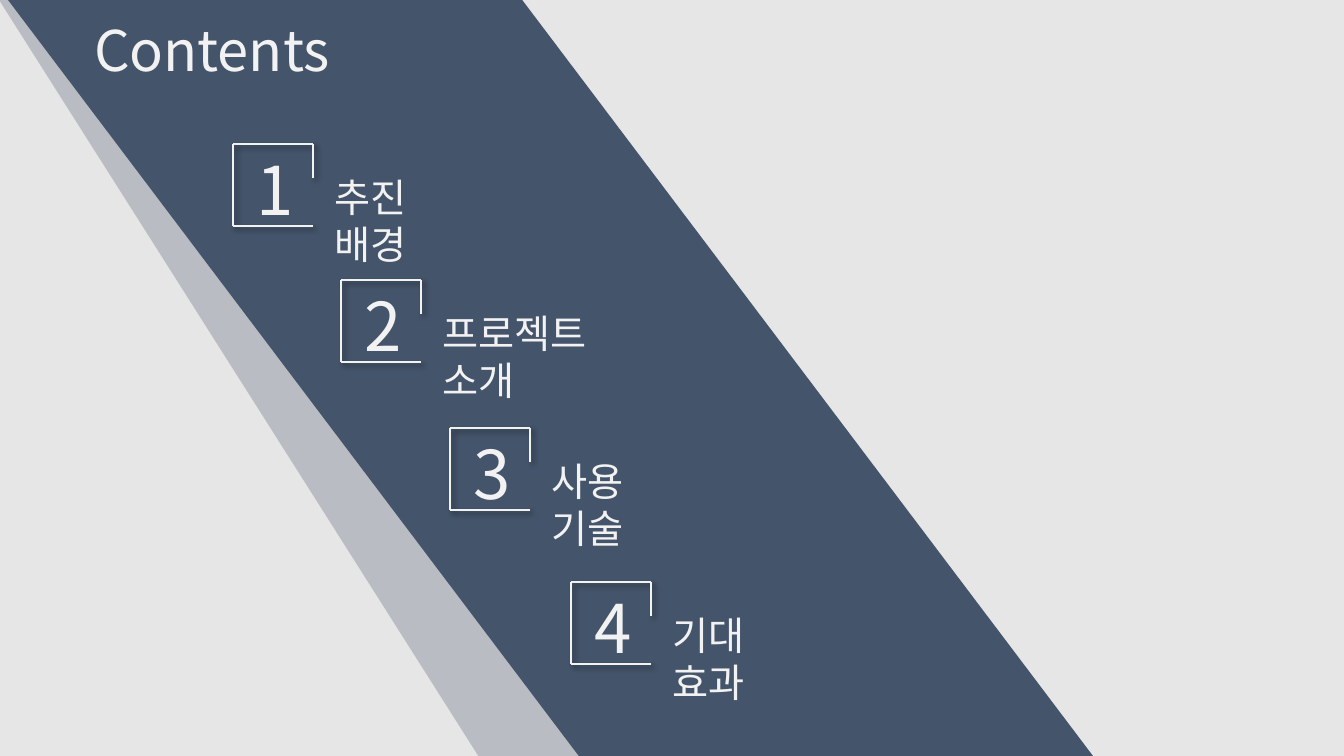
from lxml.etree import SubElement
from pptx import Presentation
from pptx.dml.color import RGBColor
from pptx.enum.shapes import MSO_CONNECTOR, MSO_SHAPE
from pptx.enum.text import MSO_ANCHOR, MSO_AUTO_SIZE, PP_ALIGN
from pptx.oxml.ns import qn
from pptx.util import Pt

PX = 914400 / 100.8
WIDTH, HEIGHT = 1344, 756
FONT = "Noto Sans CJK KR"
COLORS = {"bg": "E7E6E6", "band": "44546A", "light": "F2F2F2", "shadow": "000000"}

TITLE = "Contents"
BANDS = [
    (-1, 919, 0.634, 28),
    (8, 1085, 0.755, 100),
]
ITEMS = [
    ("추진 배경", 233, 144, 166),
    ("프로젝트 소개", 341, 280, 235),
    ("사용 기술", 450, 428, 166),
    ("기대 효과", 571, 582, 166),
]
FRAME_W, FRAME_H, TICK = 80, 82, 34
FRAME_LINES = [
    (0, 0, FRAME_W, 0),
    (0, 0, 0, FRAME_H),
    (0, FRAME_H, FRAME_W, FRAME_H),
    (FRAME_W, 0, FRAME_W, TICK),
]


def px(*values):
    return [round(v * PX) for v in values]


def rgb(name):
    return RGBColor.from_string(COLORS[name])


def write(sp, text, size, wrap):
    tf = sp.text_frame
    tf.text = text
    tf.word_wrap = wrap
    tf.auto_size = MSO_AUTO_SIZE.SHAPE_TO_FIT_TEXT
    tf.vertical_anchor = MSO_ANCHOR.TOP
    p = tf.paragraphs[0]
    p.alignment = PP_ALIGN.LEFT
    r = p.runs[0]
    r.font.size = Pt(size)
    r.font.name = FONT
    r.font.color.rgb = rgb("light")
    SubElement(r.font._element, qn("a:ea"), typeface=FONT)


def add_text(shapes, text, size, *box):
    write(shapes.add_textbox(*px(*box)), text, size, True)


def add_band(shapes, left, width, slant, opacity):
    sp = shapes.add_shape(MSO_SHAPE.PARALLELOGRAM, *px(left, 0, width, HEIGHT))
    sp.adjustments[0] = slant
    sp.shadow.inherit = False
    sp.fill.solid()
    sp.fill.fore_color.rgb = rgb("band")
    sp.line.fill.background()
    sp._element.spPr.find(qn("a:xfrm")).set("flipV", "1")
    color = sp._element.spPr.find(qn("a:solidFill"))[0]
    SubElement(color, qn("a:alpha"), val=str(opacity * 1000))


def add_line(shapes, *ends):
    line = shapes.add_connector(MSO_CONNECTOR.STRAIGHT, *px(*ends))
    line.line.color.rgb = rgb("light")
    line.line.width = Pt(1.5)
    effects = SubElement(line._element.spPr, qn("a:effectLst"))
    shadow = SubElement(effects, qn("a:outerShdw"), blurRad=str(Pt(4)), dist=str(Pt(3)),
                        dir="2700000", algn="tl", rotWithShape="0")
    color = SubElement(shadow, qn("a:srgbClr"), val=COLORS["shadow"])
    SubElement(color, qn("a:alpha"), val="40000")


def add_item(shapes, number, label, x, y, label_w):
    badge = shapes.add_group_shape().shapes
    add_text(badge, str(number), 48, x + 14, y - 1, 70, 92)
    for x1, y1, x2, y2 in FRAME_LINES:
        add_line(badge, x + x1, y + y1, x + x2, y + y2)
    add_text(shapes, label, 28, x + 92, y + 24, label_w, 57)


def main():
    prs = Presentation()
    prs.slide_width, prs.slide_height = px(WIDTH, HEIGHT)
    s = prs.slides.add_slide(prs.slide_layouts[5])
    s.background.fill.solid()
    s.background.fill.fore_color.rgb = rgb("bg")

    for band in BANDS:
        add_band(s.shapes, *band)

    title = s.shapes.title
    s.shapes._spTree.append(title._element)
    title.left, title.top, title.width, title.height = px(84, 10, 270, 78)
    write(title, TITLE, 40, False)

    for number, item in enumerate(ITEMS, 1):
        add_item(s.shapes, number, *item)

    prs.save("out.pptx")


if __name__ == "__main__":
    main()
